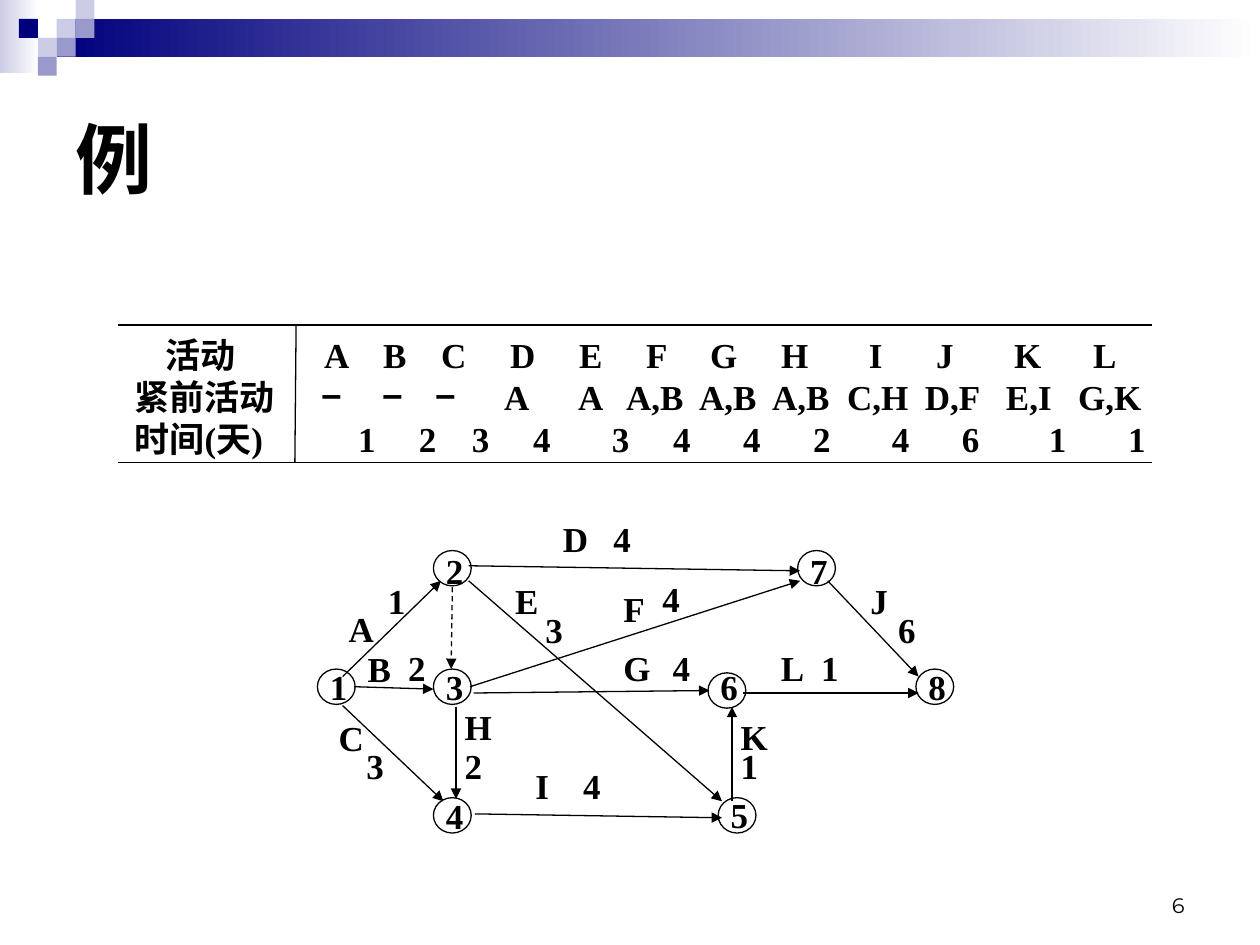
from dataclasses import dataclass
from typing import Optional

from lxml import etree
from pptx import Presentation
from pptx.dml.color import RGBColor
from pptx.enum.dml import MSO_LINE
from pptx.enum.shapes import MSO_CONNECTOR, MSO_SHAPE
from pptx.enum.text import MSO_ANCHOR, PP_ALIGN
from pptx.oxml.ns import qn
from pptx.util import Pt

RECTANGLE, OVAL = MSO_SHAPE.RECTANGLE, MSO_SHAPE.OVAL
STRAIGHT, DASH = MSO_CONNECTOR.STRAIGHT, MSO_LINE.DASH
TOP, MIDDLE, BOTTOM = MSO_ANCHOR.TOP, MSO_ANCHOR.MIDDLE, MSO_ANCHOR.BOTTOM
LEFT, RIGHT = PP_ALIGN.LEFT, PP_ALIGN.RIGHT

BLACK, WHITE, NAVY, LILAC, VIOLET = "000000", "FFFFFF", "00007D", "CCCCE6", "9999CC"
SERIF, SANS, NUMBER_FONT = "Times New Roman", "Arial", "Montserrat"
BODY = {"name": SERIF, "size": Pt(20), "bold": True}
TILE = 10.8
NODE_WIDTH, NODE_HEIGHT = 21.6, 20.2
LABEL_WIDTH, LABEL_HEIGHT = 21.6, 26.6

Point = tuple[float, float]


@dataclass
class Node:
    number: int
    left: float
    top: float
    label_top: float


@dataclass
class Activity:
    name: str
    days: int
    start: Point
    end: Point
    name_at: Point
    days_at: Point


@dataclass
class Row:
    """Cells of one table line, each centred on its own tab stop."""
    label: str
    cells: list[str]
    stops: list[float]


TILES = [(3, 1, LILAC), (4, 0, LILAC), (4, 1, VIOLET), (2, 2, LILAC),
         (1, 1, NAVY), (3, 2, VIOLET), (2, 3, VIOLET)]

ROWS = [
    Row("", ["活动", *"ABCDEFGHIJKL"],
        [37.8, 115.5, 148.7, 182.4, 221.8, 260.7, 298.4, 336.7, 377.3, 423.5, 463, 510.4, 554.4]),
    Row("紧前活动", ["−", "−", "−", "A", "A", "A,B", "A,B", "A,B", "C,H", "D,F", "E,I", "G,K"],
        [112.7, 147.5, 177.8, 218.4, 260.7, 297.3, 339, 380.7, 424.7, 467.5, 511, 557.3]),
    Row("时间(天)", [*"123434424611"],
        [132.7, 167.5, 197.8, 232.7, 277.8, 312.7, 352.7, 392.7, 437.8, 477.8, 527.5, 572.7]),
]

TABLE_RULES = [((67.7, 264.2), (658.1, 264.2)),
               ((169.2, 185.8), (168.5, 264.2)),
               ((67.7, 185.8), (658.1, 185.8))]

NODES = [
    Node(1, 181.4, 382.3, 376.6), Node(2, 247.7, 314.6, 310.3),
    Node(3, 247.7, 382.3, 376.6), Node(4, 247.7, 455.8, 450.7),
    Node(5, 410.4, 455.8, 450), Node(6, 404.6, 384.5, 376.6),
    Node(7, 455.8, 314.6, 310.3), Node(8, 523.4, 382.3, 376.6),
]

ACTIVITIES = [
    Activity("A", 1, (195.8, 386.6), (252, 331.9), (192.2, 343.4), (214.6, 327.6)),
    Activity("B", 2, (202.3, 392.4), (247.7, 393.8), (203, 366.5), (226.1, 365.8)),
    Activity("C", 3, (195.8, 403.2), (253.4, 457.9), (186.5, 406.1), (202.3, 421.9)),
    Activity("D", 4, (267.8, 323.3), (457.2, 326.2), (314.6, 292.3), (343.4, 292.3)),
    Activity("E", 3, (267.8, 331.9), (412.6, 457.9), (287.3, 327.6), (304.6, 344.2)),
    Activity("F", 4, (268.6, 392.4), (457.2, 331.9), (349.2, 331.9), (371.5, 326.2)),
    Activity("G", 4, (270.7, 396), (405.4, 394.6), (349.2, 365.8), (377.3, 365.8)),
    Activity("H", 2, (260.6, 403.9), (260.6, 456.5), (258.5, 399.6), (258.5, 421.9)),
    Activity("I", 4, (271.4, 465.1), (412.6, 467.3), (298.8, 433.4), (326.2, 433.4)),
    Activity("J", 6, (473, 331.9), (524.9, 386.6), (490.3, 327.6), (506.2, 344.2)),
    Activity("K", 1, (418.3, 457.9), (418.3, 403.9), (416.2, 405.4), (416.2, 421.9)),
    Activity("L", 1, (424.8, 396), (524.9, 396), (439.2, 365.8), (462.2, 365.8)),
]
DUMMY = ((258.5, 335.5), (257.8, 382.3))


def colour(hex_value: str) -> RGBColor:
    return RGBColor.from_string(hex_value)


def add_run(paragraph, text: str, style: dict) -> None:
    run = paragraph.add_run()
    run.text = text
    for attribute, value in style.items():
        setattr(run.font, attribute, value)
    run.font.color.rgb = colour(BLACK)


def add_frame(slide, left: float, top: float, width: float, height: float, anchor=TOP):
    frame = slide.shapes.add_textbox(Pt(left), Pt(top), Pt(width), Pt(height)).text_frame
    frame.word_wrap = True
    frame.vertical_anchor = anchor
    return frame


def add_text(slide, text: str, box: tuple, style: dict, anchor=TOP, align=LEFT) -> None:
    paragraph = add_frame(slide, *box, anchor).paragraphs[0]
    paragraph.alignment = align
    add_run(paragraph, text, style)


def add_label(slide, text: str, at: Point) -> None:
    add_text(slide, text, (*at, LABEL_WIDTH, LABEL_HEIGHT), BODY)


def add_block(slide, left: float, top: float, width: float, height: float,
              fill: str, fade_to: Optional[str] = None) -> None:
    block = slide.shapes.add_shape(RECTANGLE, Pt(left), Pt(top), Pt(width), Pt(height))
    block.shadow.inherit = False
    block.line.fill.background()
    if fade_to is None:
        block.fill.solid()
        block.fill.fore_color.rgb = colour(fill)
        return
    block.fill.gradient()
    block.fill.gradient_angle = 0
    for stop, position, shade in zip(block.fill.gradient_stops, (0, 1), (fill, fade_to)):
        stop.position = position
        stop.color.rgb = colour(shade)


def add_line(slide, start: Point, end: Point, arrow: bool = False, dashed: bool = False) -> None:
    connector = slide.shapes.add_connector(STRAIGHT, *(Pt(value) for value in start + end))
    connector.line.color.rgb = colour(BLACK)
    connector.line.width = Pt(0.75)
    if dashed:
        connector.line.dash_style = DASH
    if arrow:
        etree.SubElement(connector.line._get_or_add_ln(), qn("a:tailEnd"), type="triangle")
    etree.SubElement(connector._element.spPr, qn("a:effectLst"))


def add_node(slide, node: Node) -> None:
    circle = slide.shapes.add_shape(OVAL, Pt(node.left), Pt(node.top),
                                    Pt(NODE_WIDTH), Pt(NODE_HEIGHT))
    circle.shadow.inherit = False
    circle.fill.background()
    circle.line.color.rgb = colour(BLACK)
    circle.line.width = Pt(0.75)
    add_label(slide, str(node.number), (node.left, node.label_top))


def add_row(paragraph, row: Row) -> None:
    tabs = etree.SubElement(paragraph._p.get_or_add_pPr(), qn("a:tabLst"))
    for stop in row.stops:
        etree.SubElement(tabs, qn("a:tab"), pos=str(Pt(stop)), algn="ctr")
    if row.label:
        add_run(paragraph, row.label, BODY)
    for cell in row.cells:
        add_run(paragraph, "\t" + cell, BODY | {"name": SANS if cell == "−" else SERIF})


def main() -> None:
    deck = Presentation()
    deck.slide_width, deck.slide_height = Pt(720), Pt(540)
    slide = deck.slides.add_slide(deck.slide_layouts[6])

    add_block(slide, 0, 0, 22.3, 41.8, LILAC, WHITE)
    add_block(slide, 32.4, TILE, 687.6, 2 * TILE, NAVY, WHITE)
    for column, line, shade in TILES:
        add_block(slide, column * TILE, line * TILE, TILE, TILE, shade)

    add_text(slide, "例", (36, 36, 648, 108),
             {"name": SANS, "size": Pt(44), "bold": True}, MIDDLE)
    add_text(slide, "6", (516.2, 491.8, 167.8, 36),
             {"name": NUMBER_FONT, "size": Pt(12)}, BOTTOM, RIGHT)

    table = add_frame(slide, 69.8, 187.2, 594, 77)
    for index, row in enumerate(ROWS):
        add_row(table.add_paragraph() if index else table.paragraphs[0], row)
    for start, end in TABLE_RULES:
        add_line(slide, start, end)

    for activity in ACTIVITIES:
        add_line(slide, activity.start, activity.end, arrow=True)
    add_line(slide, *DUMMY, arrow=True, dashed=True)
    for node in NODES:
        add_node(slide, node)
    for activity in ACTIVITIES:
        add_label(slide, activity.name, activity.name_at)
        add_label(slide, str(activity.days), activity.days_at)

    deck.save("out.pptx")


if __name__ == "__main__":
    main()
